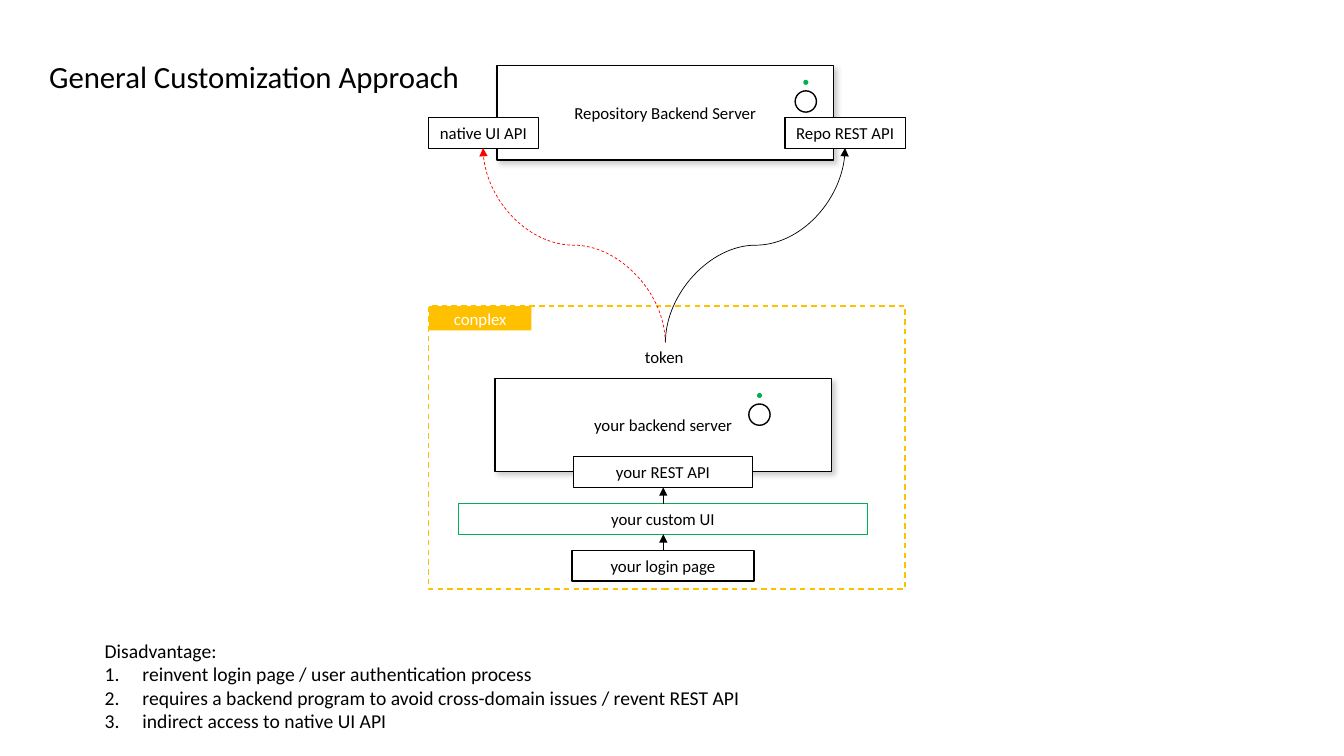
from dataclasses import dataclass
from typing import Optional

from lxml.etree import SubElement
from pptx import Presentation
from pptx.dml.color import RGBColor
from pptx.enum.dml import MSO_LINE
from pptx.enum.shapes import MSO_CONNECTOR, MSO_SHAPE
from pptx.enum.text import MSO_ANCHOR, MSO_AUTO_SIZE, PP_ALIGN
from pptx.oxml.ns import qn
from pptx.shapes.autoshape import Shape
from pptx.shapes.connector import Connector
from pptx.slide import Slide
from pptx.util import Pt


@dataclass(frozen=True)
class Theme:
    font: str = "Calibri"
    black: str = "000000"
    white: str = "FFFFFF"
    green: str = "00B050"
    amber: str = "FFC000"
    red: str = "FF0000"
    shadow: str = "808080"
    title_size: float = 22
    list_size: float = 14
    label_size: float = 12
    outline: float = 1
    arrow: float = 0.5


THEME = Theme()


@dataclass(frozen=True)
class Box:
    left: float
    top: float
    width: float
    height: float
    text: str = ""
    fill: Optional[str] = THEME.white
    line: Optional[str] = THEME.black
    color: str = THEME.black
    dashed: bool = False
    round: bool = False


@dataclass(frozen=True)
class Server:
    body: Box
    lamp_center: float


@dataclass(frozen=True)
class Note:
    left: float
    top: float
    width: float
    height: float
    lines: tuple[str, ...]
    size: float


@dataclass(frozen=True)
class Arrow:
    start: tuple[float, float]
    end: tuple[float, float]
    color: str = THEME.black
    dashed: bool = False
    rotation: Optional[int] = None


LABEL_HEIGHT = 21.9
AXIS = 473.8

ARTIFACT_SERVER = Server(Box(355, 46.8, 240.5, 67.5, "Repository Backend Server"), 575.6)
OWN_SERVER = Server(Box(353.5, 270.5, 240.5, 66.2, "your backend server"), 542.5)

ARTIFACT_APIS = (
    Box(306, 84, 78.6, LABEL_HEIGHT, "native UI API"),
    Box(560.8, 84, 85.9, LABEL_HEIGHT, "Repo REST API"),
)
OWN_PARTS = (
    Box(409.6, 326.2, 128, LABEL_HEIGHT, "your REST API"),
    Box(306, 218.6, 340.5, 202.2, fill=None, line=THEME.amber, dashed=True),
    Box(306.5, 218.6, 73, 17.5, "conplex", THEME.amber, None, THEME.white),
    Box(327.4, 359.7, 292.4, LABEL_HEIGHT, "your custom UI", line=THEME.green),
    Box(408.6, 393.2, 130, LABEL_HEIGHT, "your login page"),
)

NOTES = (
    Note(28, 37.4, 310.3, 33.9, ("General Customization Approach",), THEME.title_size),
    Note(453.6, 244.3, 42.5, 21.8, ("token",), THEME.label_size),
    Note(67.7, 452.5, 476, 74.9, (
        "Disadvantage:",
        "reinvent login page / user authentication process",
        "requires a backend program to avoid cross-domain issues / revent REST API",
        "indirect access to native UI API",
    ), THEME.list_size),
)

ARROWS = (
    Arrow((608.9, 239.3), (470.1, 111), rotation=90),
    Arrow((340.7, 240.2), (479.5, 110.1), THEME.red, True, 270),
    Arrow((AXIS, 359.7), (AXIS, 348.1)),
    Arrow((AXIS, 393.2), (AXIS, 381.6)),
)


def draw_box(page: Slide, box: Box) -> Shape:
    kind = MSO_SHAPE.OVAL if box.round else MSO_SHAPE.RECTANGLE
    shape = page.shapes.add_shape(
        kind, Pt(box.left), Pt(box.top), Pt(box.width), Pt(box.height)
    )
    shape.shadow.inherit = False
    if box.fill:
        shape.fill.solid()
        shape.fill.fore_color.rgb = RGBColor.from_string(box.fill)
    else:
        shape.fill.background()
    if box.line:
        shape.line.color.rgb = RGBColor.from_string(box.line)
        shape.line.width = Pt(THEME.outline)
    else:
        shape.line.fill.background()
    if box.dashed:
        shape.line.dash_style = MSO_LINE.DASH
    if box.text:
        frame = shape.text_frame
        frame.text = box.text
        frame.word_wrap = False
        frame.vertical_anchor = MSO_ANCHOR.MIDDLE
        para = frame.paragraphs[0]
        para.alignment = PP_ALIGN.CENTER
        para.font.name = THEME.font
        para.font.size = Pt(THEME.label_size)
        para.font.color.rgb = RGBColor.from_string(box.color)
    return shape


def draw_server(page: Slide, server: Server) -> None:
    body = draw_box(page, server.body)
    effects = body._element.spPr.find(qn("a:effectLst"))
    shadow = SubElement(
        effects, qn("a:outerShdw"), blurRad=str(Pt(4)), dist=str(Pt(3)),
        dir="2700000", algn="tl", rotWithShape="0",
    )
    tint = SubElement(shadow, qn("a:srgbClr"), val=THEME.shadow)
    SubElement(tint, qn("a:alpha"), val="40000")
    top = server.body.top
    center = server.lamp_center
    draw_box(page, Box(center - 7.6, top + 18.1, 15.2, 15.2, fill=None, round=True))
    draw_box(page, Box(center - 1.8, top + 10.2, 3.6, 3.6, "", THEME.green, None, round=True))


def draw_note(page: Slide, note: Note) -> None:
    box = page.shapes.add_textbox(
        Pt(note.left), Pt(note.top), Pt(note.width), Pt(note.height)
    )
    frame = box.text_frame
    frame.word_wrap = False
    frame.auto_size = MSO_AUTO_SIZE.SHAPE_TO_FIT_TEXT
    frame.text = "\n".join(note.lines)
    for index, para in enumerate(frame.paragraphs):
        para.font.name = THEME.font
        para.font.size = Pt(note.size)
        para.font.color.rgb = RGBColor.from_string(THEME.black)
        if index:
            properties = para._p.get_or_add_pPr()
            properties.set("marL", str(Pt(27)))
            properties.set("indent", str(-Pt(27)))
            numbering = properties.makeelement(qn("a:buAutoNum"), {"type": "arabicPeriod"})
            properties.insert(0, numbering)


def draw_arrow(page: Slide, arrow: Arrow) -> Connector:
    curved = arrow.rotation is not None
    kind = MSO_CONNECTOR.CURVE if curved else MSO_CONNECTOR.STRAIGHT
    connector = page.shapes.add_connector(kind, *map(Pt, arrow.start + arrow.end))
    connector.line.color.rgb = RGBColor.from_string(arrow.color)
    connector.line.width = Pt(THEME.arrow)
    if arrow.dashed:
        connector.line.dash_style = MSO_LINE.DASH
    properties = connector._element.spPr
    if curved:
        properties.find(qn("a:xfrm")).set("rot", str(arrow.rotation * 60000))
    SubElement(connector.line._get_or_add_ln(), qn("a:tailEnd"), type="triangle")
    SubElement(properties, qn("a:effectLst"))
    return connector


def main() -> None:
    deck = Presentation()
    deck.slide_width, deck.slide_height = Pt(960), Pt(540)
    page = deck.slides.add_slide(deck.slide_layouts[6])
    draw_server(page, ARTIFACT_SERVER)
    for box in ARTIFACT_APIS:
        draw_box(page, box)
    draw_server(page, OWN_SERVER)
    for box in OWN_PARTS:
        draw_box(page, box)
    for note in NOTES:
        draw_note(page, note)
    for arrow in ARROWS:
        draw_arrow(page, arrow)
    deck.save("out.pptx")


if __name__ == "__main__":
    main()
